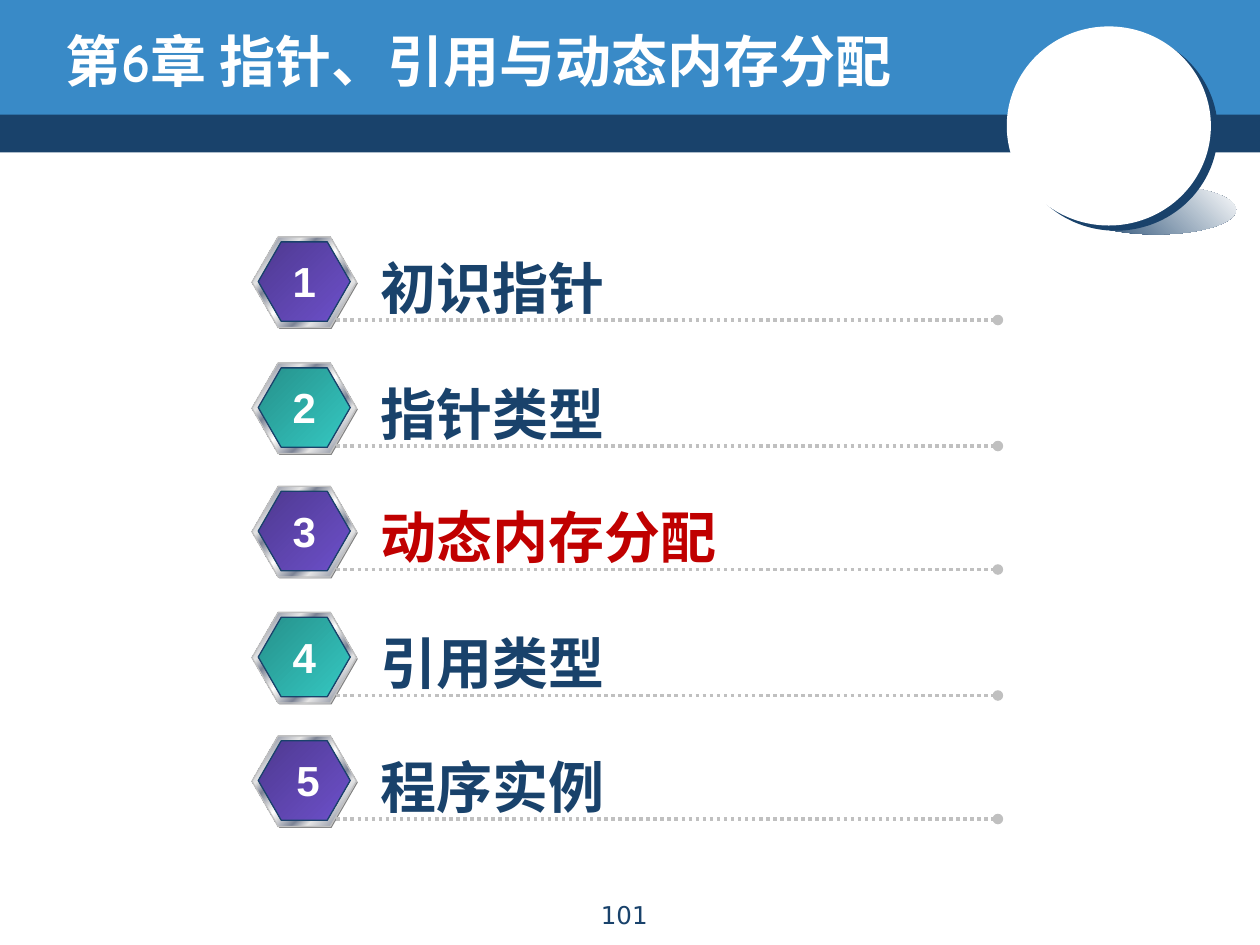
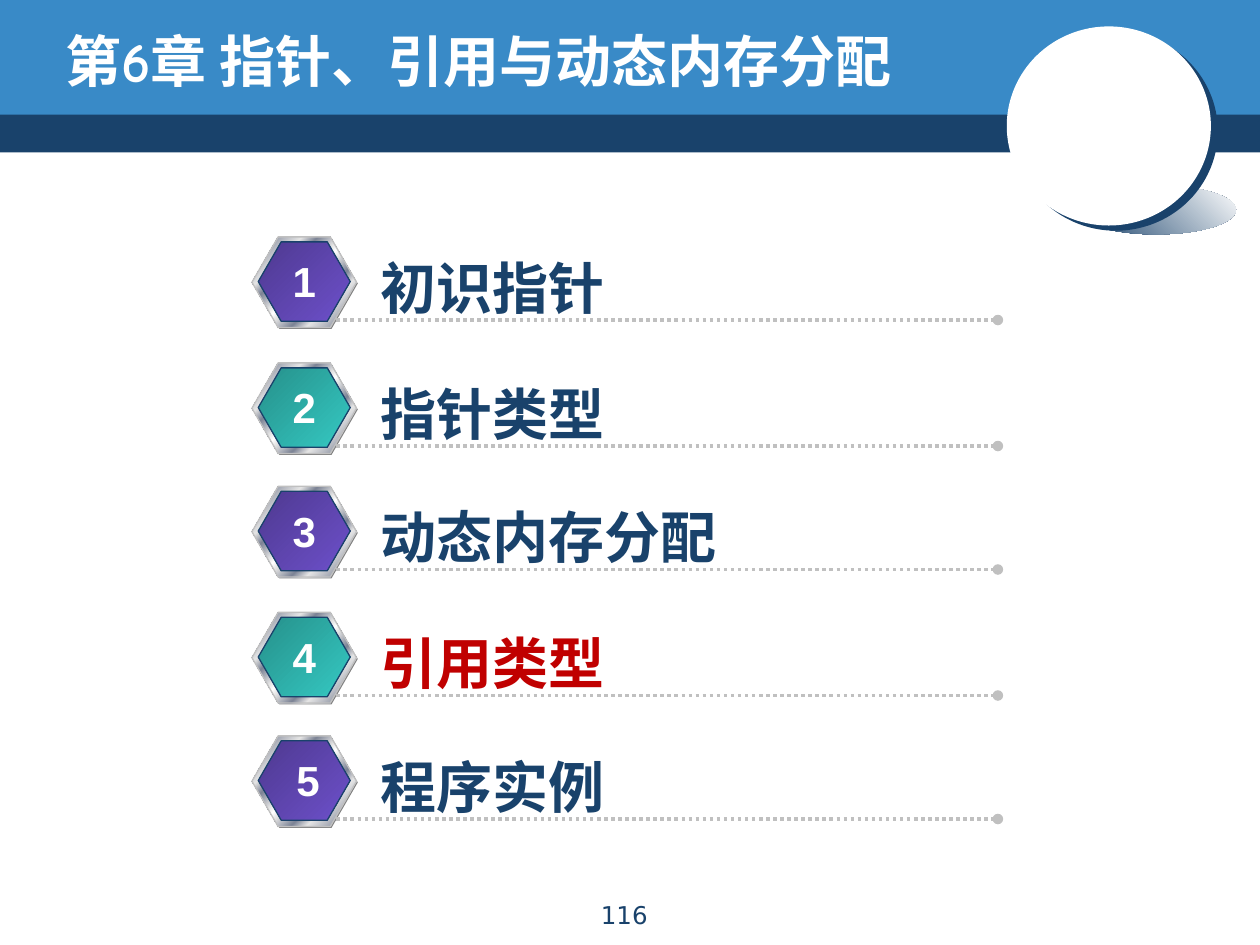
from pptx import Presentation
from pptx.dml.color import RGBColor
from pptx.enum.dml import MSO_LINE
from pptx.enum.shapes import MSO_CONNECTOR, MSO_SHAPE
from pptx.enum.text import MSO_ANCHOR, MSO_AUTO_SIZE, PP_ALIGN
from pptx.oxml import parse_xml
from pptx.oxml.ns import nsdecls, qn
from pptx.util import Pt

SCALE = 9144  # EMU in one px, 100 px to the inch

# Colours
NAVY, BLUE, WHITE, RED = "19426B", "398AC7", "FFFFFF", "C00000"
GREY, SILVER = "808080", "C0C0C0"
PURPLE = [(0, "4E3990"), (100, "6D50CA")]
TEAL = [(0, "26908B"), (100, "35C9C2")]
LIGHT, STEEL = "E6E6E6", "7D8496"
METAL = [(0, LIGHT), (7, STEEL), (26, LIGHT), (34, STEEL), (46, LIGHT),
         (50, WHITE),
         (54, LIGHT), (66, STEEL), (74, LIGHT), (93, STEEL), (100, LIGHT)]

# Content
TITLE = "第6章 指针、引用与动态内存分配"
TOPICS = ["初识指针", "指针类型", "动态内存分配", "引用类型", "程序实例"]
RULES = [254, 354, 452, 552, 650]  # height of the dotted line under each topic
PAGES = [("101", 3), ("116", 4)]   # page number, topic in red


def px(*sizes):
    return [size * SCALE for size in sizes]


def hue(code):
    return RGBColor.from_string(code)


class Deck:
    def __init__(self):
        self.prs = Presentation()
        self.prs.slide_width, self.prs.slide_height = px(1000, 750)
        self.slide = None

    def start(self):
        self.slide = self.prs.slides.add_slide(self.prs.slide_layouts[5])

    def group(self):
        return self.slide.shapes.add_group_shape()

    def shape(self, kind, box, fill, angle=45, edge=None, group=None):
        home = group or self.slide
        item = home.shapes.add_shape(kind, *px(*box))
        item.shadow.inherit = False
        if isinstance(fill, str):
            item.fill.solid()
            item.fill.fore_color.rgb = hue(fill)
        else:
            self.blend(item, fill, angle)
        if edge:
            item.line.color.rgb = hue(edge)
            item.line.width = Pt(0.75)
        else:
            item.line.fill.background()
        return item

    def blend(self, item, stops, angle):
        item.fill.background()
        marks = "".join(
            f'<a:gs pos="{pos * 1000}"><a:srgbClr val="{code}"/></a:gs>'
            for pos, code in stops)
        props = item.element.spPr
        props.replace(props.find(qn("a:noFill")), parse_xml(
            f'<a:gradFill {nsdecls("a")} rotWithShape="1"><a:gsLst>{marks}</a:gsLst>'
            f'<a:lin ang="{angle * 60000}" scaled="1"/></a:gradFill>'))

    def shade(self, item, code, dist, angle):
        item.element.spPr.find(qn("a:effectLst")).append(parse_xml(
            f'<a:outerShdw {nsdecls("a")} blurRad="0" dist="{Pt(dist)}" '
            f'dir="{angle * 60000}" algn="ctr" rotWithShape="0">'
            f'<a:srgbClr val="{code}"/></a:outerShdw>'))

    def style(self, frame, text, size, code, font, bold, align):
        frame.text = text
        para = frame.paragraphs[0]
        para.alignment = align
        face = para.runs[0].font
        face.name, face.size, face.bold = font, Pt(size), bold
        face.color.rgb = hue(code)

    def text(self, box, text, size, code, font="Arial", bold=True,
             align=PP_ALIGN.LEFT, wrap=False):
        frame = self.slide.shapes.add_textbox(*px(*box)).text_frame
        frame.word_wrap = wrap
        if not wrap:
            frame.auto_size = MSO_AUTO_SIZE.SHAPE_TO_FIT_TEXT
        self.style(frame, text, size, code, font, bold, align)

    def title(self, text):
        item = self.slide.shapes.title
        item.left, item.top, item.width, item.height = px(42, 17, 808, 62)
        # Bring the title in front of the bands
        item.element.getparent().append(item.element)
        frame = item.text_frame
        frame.auto_size = MSO_AUTO_SIZE.NONE
        frame.vertical_anchor = MSO_ANCHOR.MIDDLE
        self.style(frame, text, 32, WHITE, "Comic Neue", True, PP_ALIGN.LEFT)

    def rule(self, left, right, top):
        item = self.slide.shapes.add_connector(
            MSO_CONNECTOR.STRAIGHT, *px(left, top, right, top))
        item.line.color.rgb = hue(SILVER)
        item.line.width = Pt(2)
        item.line.dash_style = MSO_LINE.ROUND_DOT
        props = item.element.spPr
        props.find(qn("a:ln")).append(
            parse_xml(f'<a:tailEnd {nsdecls("a")} type="oval"/>'))
        props.append(parse_xml(f'<a:effectLst {nsdecls("a")}/>'))

    def frame(self):
        # Header bands
        self.shape(MSO_SHAPE.RECTANGLE, (0, 87, 1000, 34), NAVY)
        self.shape(MSO_SHAPE.RECTANGLE, (0, 0, 1000, 91), BLUE)
        # White ball with its cast shadow
        ball = self.group()
        self.shape(MSO_SHAPE.OVAL, (854, 147, 127, 39),
                   [(0, NAVY), (100, WHITE)], 315, group=ball)
        disc = self.shape(MSO_SHAPE.OVAL, (799, 21, 162, 158), WHITE, group=ball)
        self.shade(disc, NAVY, 5, 37)
        self.shape(MSO_SHAPE.OVAL, (854, 68, 57, 59), WHITE, group=ball)

    def badge(self, top, fill):
        group = self.group()
        layers = [((201, top + 1, 83, 72), GREY, None),
                  ((200, top, 83, 72), METAL, SILVER),
                  ((205, top + 4, 73, 63), fill, NAVY)]
        for box, paint, edge in layers:
            item = self.shape(MSO_SHAPE.HEXAGON, box, paint, edge=edge, group=group)
            item.adjustments[0] = 0.289
            item.adjustments[1] = 1.155

    def topic(self, num, name, top, code):
        self.badge(top - 66, PURPLE if num % 2 else TEAL)
        self.rule(267, 792, top)
        width = 291 if len(name) > 4 else 200
        self.text((292, top - 58, width, 64), name, 32, code)
        left = 225 if num == len(TOPICS) else 222
        self.text((left, top - 56, 39, 50), str(num), 24, WHITE,
                  align=PP_ALIGN.CENTER)

    def page(self, num):
        self.text((405, 709, 181, 32), num, 14, NAVY, "DejaVu Sans", False,
                  PP_ALIGN.CENTER, wrap=True)


def main():
    deck = Deck()
    for page, active in PAGES:
        deck.start()
        deck.frame()
        deck.title(TITLE)
        for num, (name, top) in enumerate(zip(TOPICS, RULES), 1):
            deck.topic(num, name, top, RED if num == active else NAVY)
        deck.page(page)
    deck.prs.save("out.pptx")


if __name__ == "__main__":
    main()
